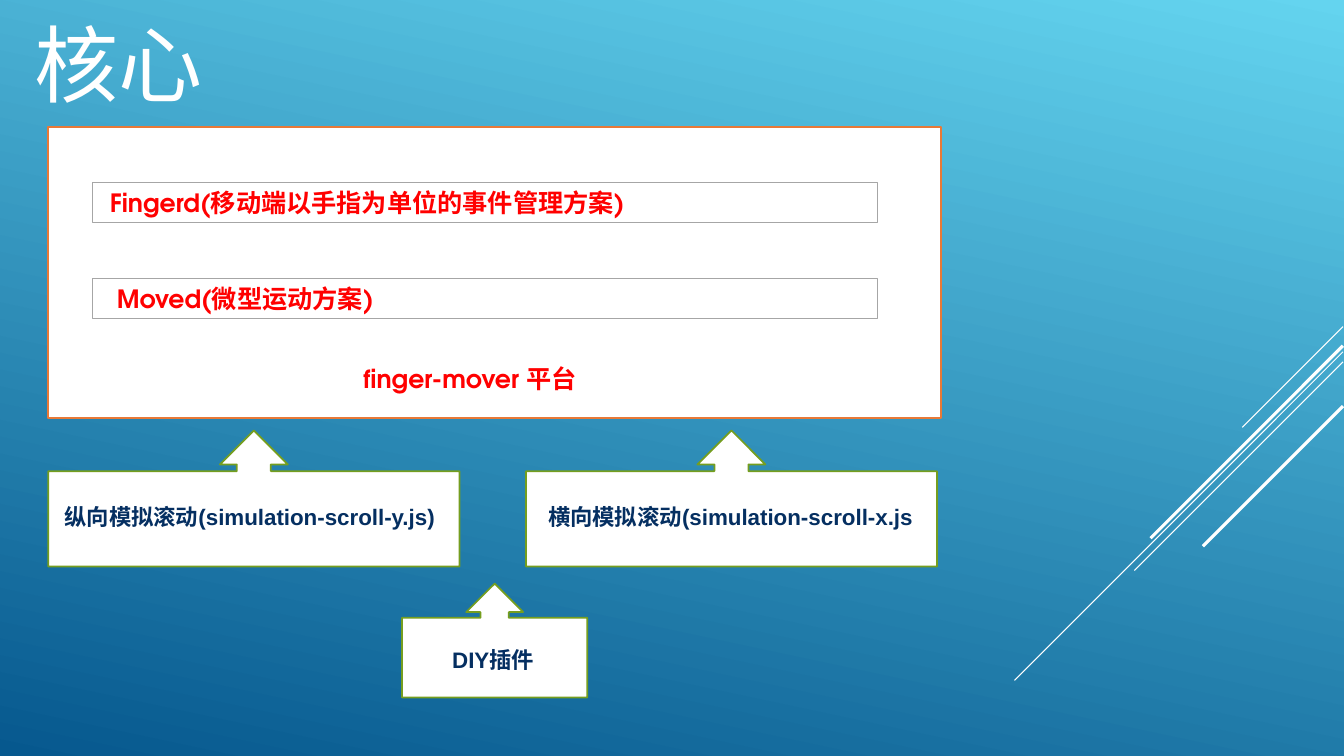
from dataclasses import dataclass

from lxml.etree import SubElement
from pptx import Presentation
from pptx.dml.color import RGBColor
from pptx.enum.shapes import MSO_CONNECTOR, MSO_SHAPE
from pptx.enum.text import MSO_ANCHOR, MSO_AUTO_SIZE, PP_ALIGN
from pptx.oxml.ns import qn
from pptx.util import Inches, Pt


@dataclass(frozen=True)
class Theme:
    sky: str = "64D4EF"
    deep: str = "06588E"
    white: str = "FFFFFF"
    orange: str = "E87937"
    grey: str = "A6A6A6"
    green: str = "759E1F"
    red: str = "FF0000"
    navy: str = "052F61"
    title_size: int = 60
    core_size: int = 18
    plugin_size: int = 16
    cjk_font: str = "Noto Sans CJK SC"
    core_font: str = "TeX Gyre Adventor"
    plugin_font: str = "Arial"
    thin: float = 0.75
    border: float = 1.25
    thick: float = 2.25


class SlideBuilder:
    def __init__(self, slide, theme):
        self.slide = slide
        self.theme = theme

    def background(self):
        fill = self.slide.background.fill
        fill.gradient()
        fill.gradient_angle = 258
        for stop, color in zip(fill.gradient_stops, (self.theme.sky, self.theme.deep)):
            stop.color.rgb = RGBColor.from_string(color)

    def stroke(self, line, color, width):
        line.color.rgb = RGBColor.from_string(color)
        line.width = Pt(width)

    def ray(self, right, top, run, width):
        """Draw a 45-degree line down and left from the slide's right edge."""
        ray = self.slide.shapes.add_connector(
            MSO_CONNECTOR.STRAIGHT, Inches(right), Inches(top),
            Inches(right - run), Inches(top + run))
        self.stroke(ray.line, self.theme.white, width)
        SubElement(ray._element.spPr, qn("a:effectLst"))

    def panel(self, kind, box, border, width, fill=None):
        panel = self.slide.shapes.add_shape(kind, *map(Inches, box))
        panel.shadow.inherit = False
        if fill:
            panel.fill.solid()
            panel.fill.fore_color.rgb = RGBColor.from_string(fill)
        else:
            panel.fill.background()
        self.stroke(panel.line, border, width)
        return panel

    def callout(self, box):
        callout = self.panel(MSO_SHAPE.UP_ARROW_CALLOUT, box, self.theme.green,
                             self.theme.border, self.theme.white)
        for index, ratio in enumerate((0.25, 0.25, 0.25, 0.7)):
            callout.adjustments[index] = ratio

    def set_text(self, shape, text, font, size, color, bold=True, align=PP_ALIGN.LEFT,
                 anchor=MSO_ANCHOR.TOP, left=0.1):
        frame_format = {
            "word_wrap": True, "auto_size": MSO_AUTO_SIZE.NONE, "vertical_anchor": anchor,
            "margin_left": Inches(left), "margin_right": Inches(0.1),
            "margin_top": Inches(0.05), "margin_bottom": Inches(0.05)}
        for name, value in frame_format.items():
            setattr(shape.text_frame, name, value)
        paragraph = shape.text_frame.paragraphs[0]
        paragraph.alignment = align
        run = paragraph.add_run()
        run.text = text
        for name, value in {"name": font, "size": Pt(size), "bold": bold}.items():
            setattr(run.font, name, value)
        run.font.color.rgb = RGBColor.from_string(color)
        SubElement(run._r.get_or_add_rPr(), qn("a:ea"), typeface=self.theme.cjk_font)

    def title(self, text, box):
        title = self.slide.shapes.title
        title.left, title.top, title.width, title.height = map(Inches, box)
        self.set_text(title, text, self.theme.cjk_font, self.theme.title_size,
                      self.theme.white, bold=False, anchor=MSO_ANCHOR.MIDDLE)

    def core_text(self, shape, text, **layout):
        self.set_text(shape, text, self.theme.core_font, self.theme.core_size,
                      self.theme.red, **layout)

    def label(self, box):
        return self.slide.shapes.add_textbox(*map(Inches, box))

    def plugin(self, box, label_box, text, **layout):
        self.callout(box)
        self.set_text(self.label(label_box), text, self.theme.plugin_font,
                      self.theme.plugin_size, self.theme.navy, **layout)


def main():
    theme = Theme()
    deck = Presentation()
    deck.slide_width, deck.slide_height = Inches(13.34), Inches(7.5)
    builder = SlideBuilder(deck.slides.add_slide(deck.slide_layouts[5]), theme)

    builder.background()
    for top, run, width in ((3.24, 1, theme.thin), (3.49, 3.26, theme.thin),
                            (3.59, 2.07, theme.thin), (3.43, 1.91, theme.thick),
                            (4.03, 1.39, theme.thick)):
        builder.ray(13.33, top, run, width)
    builder.title("核心", (0.24, 0.07, 9.33, 1.1))

    builder.panel(MSO_SHAPE.RECTANGLE, (0.48, 1.26, 8.86, 2.89), theme.orange,
                  theme.border, theme.white)
    builder.core_text(builder.label((2.07, 3.56, 5.19, 0.4)), "finger-mover 平台",
                      align=PP_ALIGN.CENTER)
    modules = (("Fingerd(移动端以手指为单位的事件管理方案)", 0.17),
               ("Moved(微型运动方案)", 0.24))
    for row, (module, indent) in enumerate(modules):
        bar = builder.panel(MSO_SHAPE.RECTANGLE, (0.92, 1.81 + 0.95 * row, 7.79, 0.4),
                            theme.grey, theme.thin)
        builder.core_text(bar, module, left=indent)

    scrollers = ((0.48, "纵向模拟滚动(simulation-scroll-y.js)", 0.16),
                 (5.22, "横向模拟滚动(simulation-scroll-x.js", 0.22))
    for left, scroller, indent in scrollers:
        builder.plugin((left, 4.27, 4.08, 1.35), (left, 4.94, 4.08, 0.37),
                       scroller, left=indent)
    builder.plugin((3.99, 5.79, 1.84, 1.13), (4.28, 6.36, 1.23, 0.37), "DIY插件",
                   align=PP_ALIGN.CENTER)
    deck.save("out.pptx")


if __name__ == "__main__":
    main()
